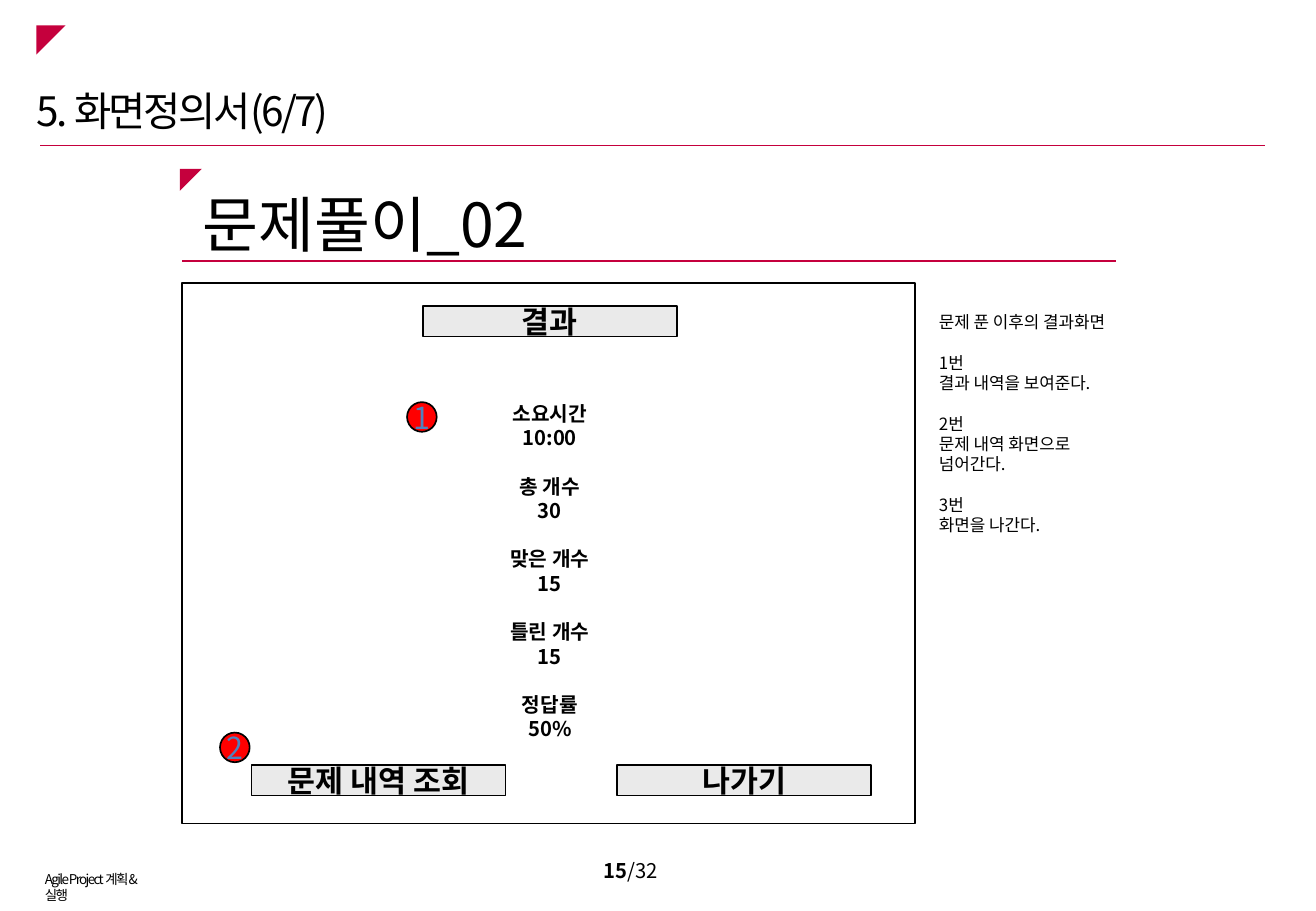
from lxml.etree import SubElement
from pptx import Presentation
from pptx.dml.color import RGBColor
from pptx.enum.shapes import MSO_CONNECTOR, MSO_SHAPE
from pptx.enum.text import MSO_ANCHOR, MSO_AUTO_SIZE, PP_ALIGN
from pptx.oxml.ns import qn
from pptx.util import Cm, Pt

FONT = "Noto Sans CJK KR"
RED = "C5003D"


def color(value):
    return RGBColor.from_string(value)


def write(shape, groups, size, ink="000000", bold=False, align=PP_ALIGN.LEFT,
          anchor=MSO_ANCHOR.TOP, wrap=True, spacing=None):
    """Fill a shape with groups of lines, one blank line's height apart.

    A line is a list of (text, bold) spans or a plain string.
    """
    frame = shape.text_frame
    for name, value in {"word_wrap": wrap, "vertical_anchor": anchor,
                        "auto_size": MSO_AUTO_SIZE.NONE}.items():
        setattr(frame, name, value)
    para = None
    for group in groups:
        for row, line in enumerate(group):
            starts_gap = para is not None and row == 0
            para = frame.paragraphs[0] if para is None else frame.add_paragraph()
            para.alignment = align
            if starts_gap:
                para.space_before = Pt(size * 1.2)
            for text, heavy in [(line, bold)] if isinstance(line, str) else line:
                span = para.add_run()
                span.text = text
                for name, value in {"name": FONT, "size": Pt(size), "bold": heavy}.items():
                    setattr(span.font, name, value)
                span.font.color.rgb = color(ink)
                properties = span.font._element
                SubElement(properties, qn("a:ea")).set("typeface", FONT)
                if spacing:
                    properties.set("spc", str(round(spacing * 100)))


deck = Presentation()
deck.slide_width, deck.slide_height = Cm(27.51), Cm(19.05)
page = deck.slides.add_slide(deck.slide_layouts[5])
shapes = page.shapes

# Page title
title = shapes.title
for name, value in {"left": 0.51, "top": 1.68, "width": 12.83, "height": 1.27}.items():
    setattr(title, name, Cm(value))
write(title, [["5. 화면정의서(6/7)"]], 24, spacing=-1.5)

# Red rules under the page title and the screen heading
for left, right, top in [(0.84, 26.44, 3.05), (3.81, 23.32, 5.46)]:
    rule = shapes.add_connector(MSO_CONNECTOR.STRAIGHT, Cm(left), Cm(top), Cm(right), Cm(top))
    rule.line.color.rgb = color(RED)
    rule.line.width = Pt(0.75)
    SubElement(rule._element.spPr, qn("a:effectLst"))

# Red corner marks
for left, top, side in [(0.76, 0.53, 0.61), (3.76, 3.53, 0.46)]:
    corner = shapes.add_shape(MSO_SHAPE.ISOSCELES_TRIANGLE, Cm(left), Cm(top), Cm(side), Cm(side))
    corner.adjustments[0] = 1
    corner.rotation = 180
    corner.shadow.inherit = False
    corner.fill.solid()
    corner.fill.fore_color.rgb = color(RED)
    corner.line.fill.background()

# Screen frame, buttons and numbered markers
button = {"size": 18, "bold": True}
marker = {"size": 18, "ink": "4F81BD"}
for kind, left, top, width, height, fill, text, style in [
    (MSO_SHAPE.RECTANGLE, 3.81, 5.92, 15.32, 11.3, None, None, None),
    (MSO_SHAPE.RECTANGLE, 8.84, 6.4, 5.31, 0.64, "EAEAEA", "결과", button),
    (MSO_SHAPE.RECTANGLE, 5.26, 16, 5.31, 0.64, "EAEAEA", "문제 내역 조회", button),
    (MSO_SHAPE.RECTANGLE, 12.9, 16, 5.31, 0.64, "EAEAEA", "나가기", button),
    (MSO_SHAPE.OVAL, 8.51, 8.41, 0.62, 0.62, "FF0000", "1", marker),
    (MSO_SHAPE.OVAL, 4.6, 15.32, 0.62, 0.62, "FF0000", "2", marker),
]:
    part = shapes.add_shape(kind, Cm(left), Cm(top), Cm(width), Cm(height))
    part.shadow.inherit = False
    part.line.color.rgb = color("000000")
    part.line.width = Pt(1)
    if fill:
        part.fill.solid()
        part.fill.fore_color.rgb = color(fill)
        write(part, [[text]], align=PP_ALIGN.CENTER, anchor=MSO_ANCHOR.MIDDLE,
              wrap=False, **style)
    else:
        part.fill.background()

# Heading, results, notes, footer and page number
results = [["소요시간", "10:00"], ["총 개수", "30"], ["맞은 개수", "15"],
           ["틀린 개수", "15"], ["정답률", "50%"]]
notes = [["문제 푼 이후의 결과화면"], ["1번", "결과 내역을 보여준다."],
         ["2번", "문제 내역 화면으로 넘어간다."], ["3번", "화면을 나간다."]]
for left, top, width, height, groups, style in [
    (3.99, 3.78, 17.86, 1.8, [["문제풀이_02"]], {"size": 36}),
    (8.51, 8.26, 5.97, 7.95, results, {"size": 12, "bold": True, "align": PP_ALIGN.CENTER}),
    (19.38, 6.4, 4.37, 4.95, notes, {"size": 10}),
    (0.69, 18.08, 2.84, 0.61, [["Agile Project 계획&실행"]], {"size": 8, "spacing": -1}),
    (11.63, 17.73, 3.12, 0.94, [[[("15", True), ("/32", False)]]],
     {"size": 12, "align": PP_ALIGN.CENTER, "anchor": MSO_ANCHOR.MIDDLE}),
]:
    box = shapes.add_textbox(Cm(left), Cm(top), Cm(width), Cm(height))
    write(box, groups, **style)

deck.save("out.pptx")
